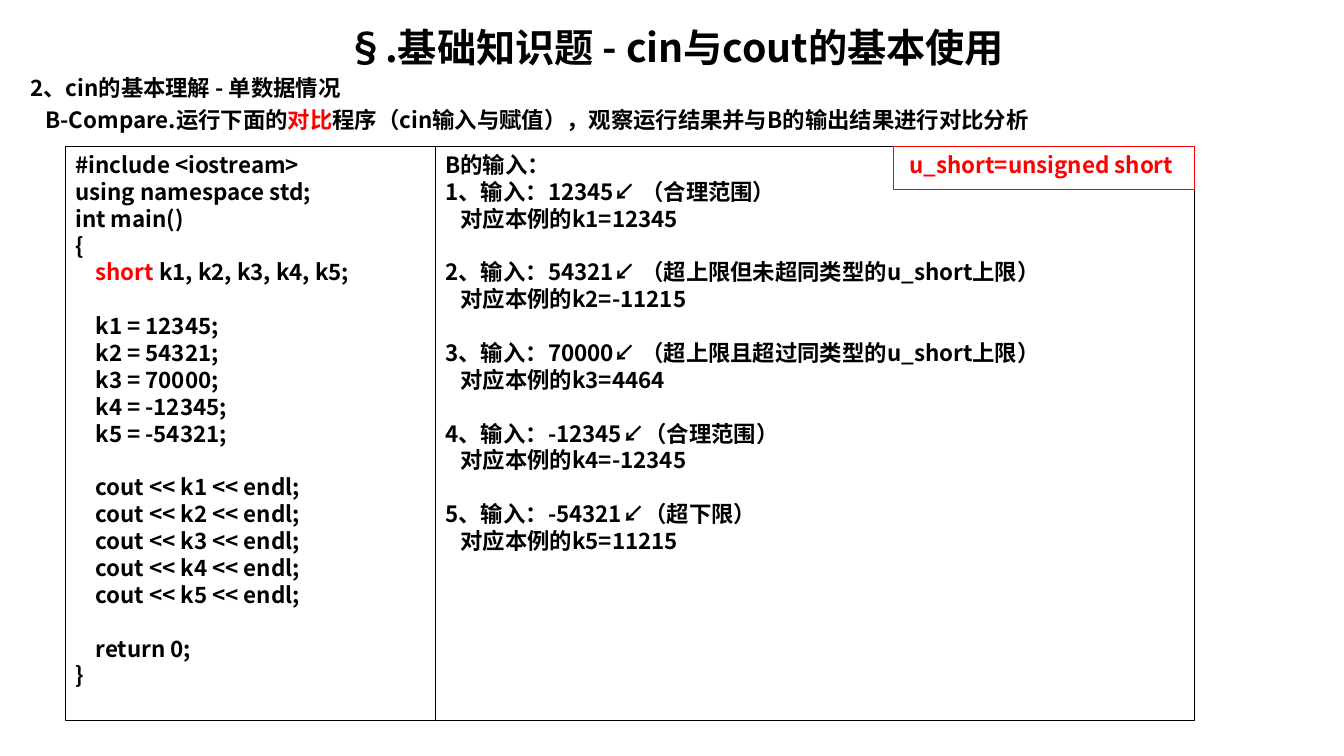
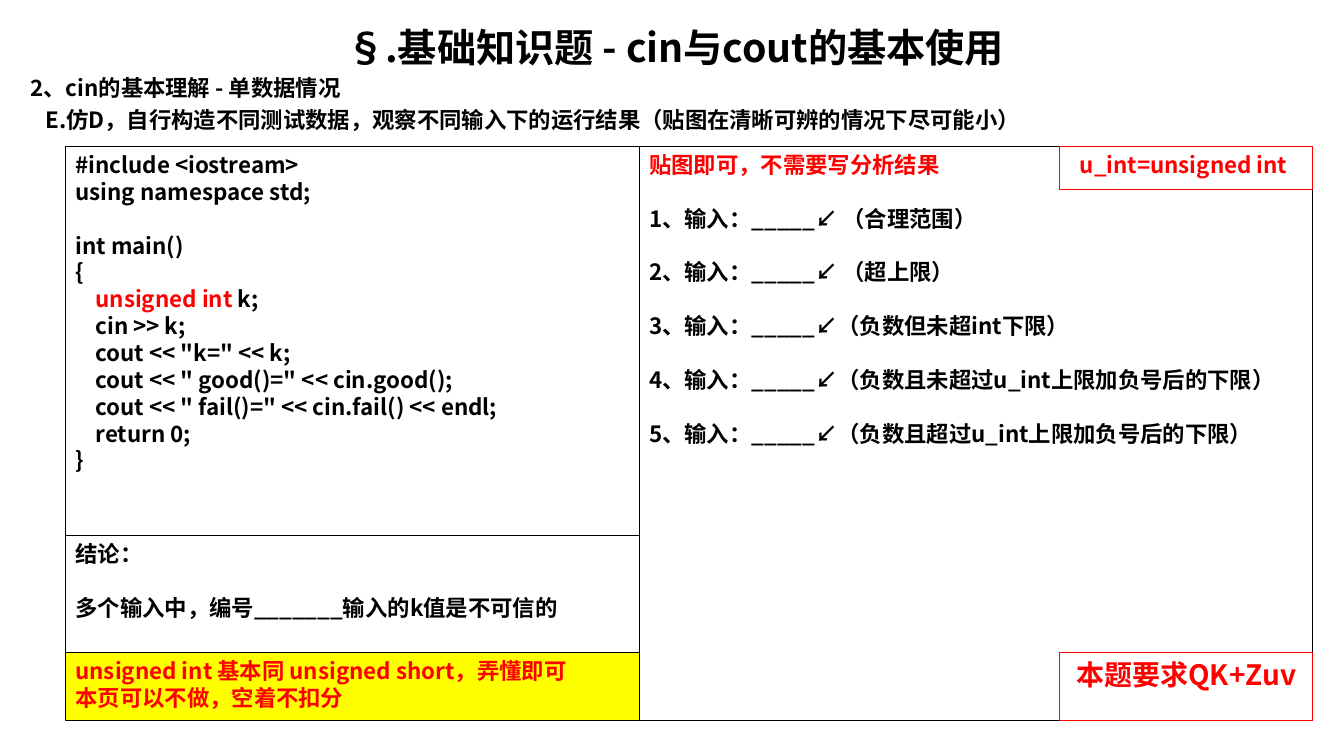
"""Build two exercise slides on cin and cout basics."""
from lxml import etree
from pptx import Presentation
from pptx.dml.color import RGBColor
from pptx.enum.shapes import MSO_SHAPE
from pptx.enum.text import MSO_ANCHOR, PP_ALIGN
from pptx.oxml.ns import qn
from pptx.util import Inches, Pt

RECTANGLE = MSO_SHAPE.RECTANGLE
TOP, MIDDLE = MSO_ANCHOR.TOP, MSO_ANCHOR.MIDDLE
LEFT, CENTER = PP_ALIGN.LEFT, PP_ALIGN.CENTER

COLORS = {"ink": "000000", "accent": "FF0000", "highlight": "FFFF00"}
FONT = "Noto Sans CJK SC"
TITLE_SIZE, TEXT_SIZE, BADGE_SIZE = 28, 16, 20
LINE_RATIO = 1.2
CODE_INDENT, ANSWER_INDENT = 0.2, 0.15
ACCENT_MARK, INDENT_MARK = "|", "\t"

GRID_LEFT, GRID_TOP, GRID_BOTTOM = 0.65, 1.45, 7.15
TAG_HEIGHT = 0.43
CONCLUSION_TOP, NOTE_TOP = 5.31, 6.47

TITLE = "§.基础知识题 - cin与cout的基本使用"
SECTION = "2、cin的基本理解 - 单数据情况"

COMPARE = {
    "task": "\tB-Compare.运行下面的|对比|程序（cin输入与赋值），观察运行结果并与B的输出结果进行对比分析",
    "split": 4.32,
    "right": 11.85,
    "tag": ("u_short=unsigned short ", 2.99),
    "code": [
        "#include <iostream>", "using namespace std;", "int main()", "{",
        "\t|short| k1, k2, k3, k4, k5;", "",
        "\tk1 = 12345;", "\tk2 = 54321;", "\tk3 = 70000;",
        "\tk4 = -12345;", "\tk5 = -54321;", "",
        *(f"\tcout << k{number} << endl;" for number in range(1, 6)), "",
        "\treturn 0;", "}",
    ],
    "inputs": [
        "B的输入：",
        "1、输入：12345↙ （合理范围）", "\t对应本例的k1=12345", "",
        "2、输入：54321↙ （超上限但未超同类型的u_short上限）", "\t对应本例的k2=-11215", "",
        "3、输入：70000↙ （超上限且超过同类型的u_short上限）", "\t对应本例的k3=4464", "",
        "4、输入：-12345↙（合理范围）", "\t对应本例的k4=-12345", "",
        "5、输入：-54321↙（超下限）", "\t对应本例的k5=11215",
    ],
}
UNSIGNED = {
    "task": "\tE.仿D，自行构造不同测试数据，观察不同输入下的运行结果（贴图在清晰可辨的情况下尽可能小）",
    "split": 6.34,
    "right": 13.02,
    "tag": ("u_int=unsigned int ", 2.51),
    "code": [
        "#include <iostream>", "using namespace std;", "", "int main()", "{",
        "\t|unsigned int |k;", "\tcin >> k;", '\tcout << "k=" << k;',
        '\tcout << " good()=" << cin.good();',
        '\tcout << " fail()=" << cin.fail() << endl;', "\treturn 0;", "}",
    ],
    "inputs": [
        "|贴图即可，不需要写分析结果|", "",
        "1、输入：_____↙ （合理范围）", "",
        "2、输入：_____↙ （超上限）", "",
        "3、输入：_____↙（负数但未超int下限）", "",
        "4、输入：_____↙（负数且未超过u_int上限加负号后的下限）", "",
        "5、输入：_____↙（负数且超过u_int上限加负号后的下限）",
    ],
    "conclusion": ["结论：", "", "多个输入中，编号_______输入的k值是不可信的"],
    "note": ["|unsigned int 基本同 unsigned short，弄懂即可|", "|本页可以不做，空着不扣分|"],
    "badge": "本题要求QK+Zuv",
}


def color(name):
    return RGBColor.from_string(COLORS[name])


def write(frame, lines, size=TEXT_SIZE, align=LEFT, indent=0, gap=0, anchor=TOP):
    frame.word_wrap = True
    frame.vertical_anchor = anchor
    line_height = size * LINE_RATIO
    paragraph, skipped = None, 0
    for line in lines:
        if not line:
            skipped += 1
            continue
        space = gap + skipped * line_height if paragraph is not None else 0
        paragraph = frame.paragraphs[0] if paragraph is None else frame.add_paragraph()
        skipped = 0
        paragraph.alignment = align
        paragraph.line_spacing = Pt(line_height)
        paragraph.space_before = Pt(space)
        paragraph.font.name, paragraph.font.size = FONT, Pt(size)
        paragraph.font.bold = True
        properties = paragraph._p.get_or_add_pPr()
        properties.set("marL", str(Inches(indent if line.startswith(INDENT_MARK) else 0)))
        properties.set("indent", "0")
        defaults = properties.find(qn("a:defRPr"))
        etree.SubElement(defaults, qn("a:ea"), typeface=FONT)
        defaults.addprevious(etree.Element(qn("a:buNone")))
        for position, words in enumerate(line.strip(INDENT_MARK).split(ACCENT_MARK)):
            if words:
                run = paragraph.add_run()
                run.text = words
                run.font.color.rgb = color("accent" if position % 2 else "ink")


def place(shape, left, top, width, height):
    shape.left, shape.top = Inches(left), Inches(top)
    shape.width, shape.height = Inches(width), Inches(height)


def add_panel(slide, edges, lines, border="ink", fill=None, **style):
    left, top, right, bottom = edges
    panel = slide.shapes.add_shape(
        RECTANGLE, Inches(left), Inches(top), Inches(right - left), Inches(bottom - top))
    panel.shadow.inherit = False
    if fill:
        panel.fill.solid()
        panel.fill.fore_color.rgb = color(fill)
    else:
        panel.fill.background()
    panel.line.color.rgb = color(border)
    panel.line.width = Pt(0.75)
    write(panel.text_frame, lines, **style)


def add_exercise(deck, layout, exercise):
    slide = deck.slides.add_slide(layout)
    heading, body = slide.placeholders
    write(heading.text_frame, [TITLE], TITLE_SIZE, CENTER, anchor=MIDDLE)
    write(body.text_frame, [SECTION, exercise["task"]], indent=ANSWER_INDENT, gap=3.6)

    split, right = exercise["split"], exercise["right"]
    code_bottom = CONCLUSION_TOP if "conclusion" in exercise else GRID_BOTTOM
    add_panel(slide, (GRID_LEFT, GRID_TOP, split, code_bottom),
              exercise["code"], indent=CODE_INDENT)
    add_panel(slide, (split, GRID_TOP, right, GRID_BOTTOM),
              exercise["inputs"], indent=ANSWER_INDENT)
    label, tag_width = exercise["tag"]
    tag_left = right - tag_width
    add_panel(slide, (tag_left, GRID_TOP, right, GRID_TOP + TAG_HEIGHT),
              [f"|{label}|"], "accent", align=CENTER)
    if "conclusion" in exercise:
        add_panel(slide, (GRID_LEFT, CONCLUSION_TOP, split, NOTE_TOP), exercise["conclusion"])
        add_panel(slide, (GRID_LEFT, NOTE_TOP, split, GRID_BOTTOM),
                  exercise["note"], fill="highlight")
        add_panel(slide, (tag_left, NOTE_TOP, right, GRID_BOTTOM),
                  [f"|{exercise['badge']}|"], "accent", size=BADGE_SIZE, align=CENTER)


def main():
    deck = Presentation()
    deck.slide_width, deck.slide_height = Inches(13.33), Inches(7.5)
    layout = deck.slide_layouts[1]
    heading, body = list(layout.placeholders)[:2]
    place(heading, 0.2, 0.18, 12.99, 0.57)
    place(body, 0.2, 0.69, 12.99, 0.7)
    for exercise in (COMPARE, UNSIGNED):
        add_exercise(deck, layout, exercise)
    deck.save("out.pptx")


if __name__ == "__main__":
    main()
